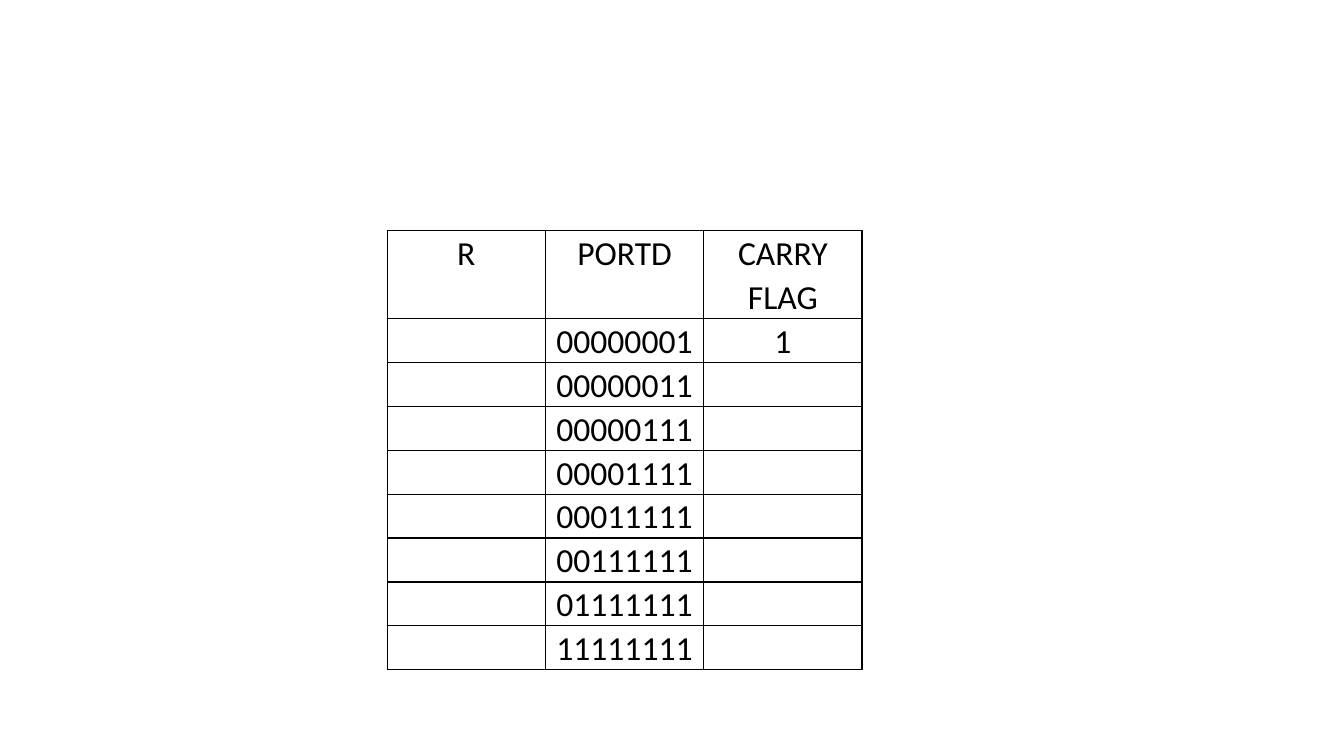
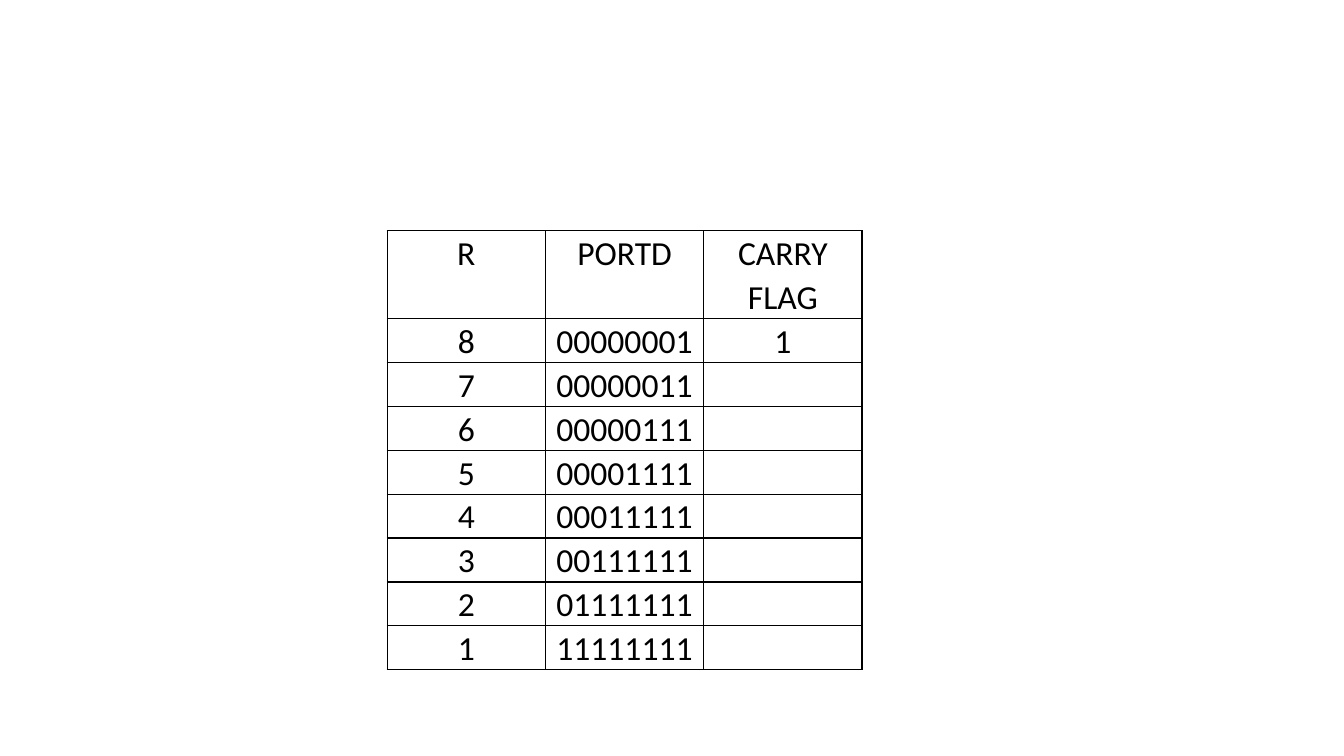
from dataclasses import dataclass

from pptx import Presentation
from pptx import util as u
from pptx.dml.color import RGBColor
from pptx.enum import text
from pptx.oxml.ns import qn
from lxml import etree


# Shared look
@dataclass(frozen=True)
class Theme:
    ink: str = "000000"
    paper: str = "FFFFFF"
    font: str = "Calibri"
    size: float = 24
    lead: float = 1.07
    after: float = 8
    rule: float = 1


# Table position and cell sizes, in inches
@dataclass(frozen=True)
class Grid:
    left: float = 3.84
    top: float = 2.29
    col: float = 1.57
    head: float = 0.87
    row: float = 0.43
    pad: float = 0.07


@dataclass(frozen=True)
class Step:
    count: str
    port: str
    carry: str


THEME = Theme()
GRID = Grid()
BITS = 8
HEAD = Step("R", "PORTD", "CARRY FLAG")
CELL = {
    "margin_left": u.Inches(GRID.pad),
    "margin_right": u.Inches(GRID.pad),
    "margin_top": 0,
    "margin_bottom": 0,
    "vertical_anchor": text.MSO_ANCHOR.TOP,
}
PARA = {
    "alignment": text.PP_ALIGN.CENTER,
    "line_spacing": THEME.lead,
    "space_after": u.Pt(THEME.after),
}
FONT = {"name": THEME.font, "size": u.Pt(THEME.size), "bold": False}
PLAIN = {"first_row": False, "horz_banding": False}


def put(item: object, fmt: dict) -> None:
    for key, val in fmt.items():
        setattr(item, key, val)


def steps(shown: bool) -> list[Step]:
    """A set carry bit is rotated into the port, one bit per step."""
    return [
        Step(str(BITS - i) if shown else "",
             f"{2 ** (i + 1) - 1:0{BITS}b}",
             "1" if i == 0 else "")
        for i in range(BITS)
    ]


def border(cell) -> None:
    props = cell._tc.get_or_add_tcPr()
    for side in ("a:lnL", "a:lnR", "a:lnT", "a:lnB"):
        line = etree.SubElement(props, qn(side), w=str(u.Pt(THEME.rule)))
        fill = etree.SubElement(line, qn("a:solidFill"))
        etree.SubElement(fill, qn("a:srgbClr"), val=THEME.ink)


def write(cell, words: str) -> None:
    border(cell)
    cell.fill.solid()
    cell.fill.fore_color.rgb = RGBColor.from_string(THEME.paper)
    put(cell, CELL)
    para = cell.text_frame.paragraphs[0]
    put(para, PARA)
    put(para.font, FONT)
    if words:
        run = para.add_run()
        run.text = words
        put(run.font, FONT)
        run.font.color.rgb = RGBColor.from_string(THEME.ink)


def draw(slide, rows: list[Step]) -> None:
    cells = [(r.count, r.port, r.carry) for r in (HEAD, *rows)]
    wide = len(cells[0])
    table = slide.shapes.add_table(
        len(cells), wide,
        u.Inches(GRID.left), u.Inches(GRID.top),
        u.Inches(GRID.col * wide),
        u.Inches(GRID.head + GRID.row * len(rows)),
    ).table
    put(table, PLAIN)
    for col in table.columns:
        col.width = u.Inches(GRID.col)
    for i, line in enumerate(cells):
        table.rows[i].height = u.Inches(GRID.row if i else GRID.head)
        for j, words in enumerate(line):
            write(table.cell(i, j), words)


def main() -> None:
    deck = Presentation()
    deck.slide_width = u.Inches(13.33)
    deck.slide_height = u.Inches(7.5)
    blank = deck.slide_layouts[6]
    # Counter hidden first, then filled in
    for shown in (False, True):
        draw(deck.slides.add_slide(blank), steps(shown))
    deck.save("out.pptx")


if __name__ == "__main__":
    main()
